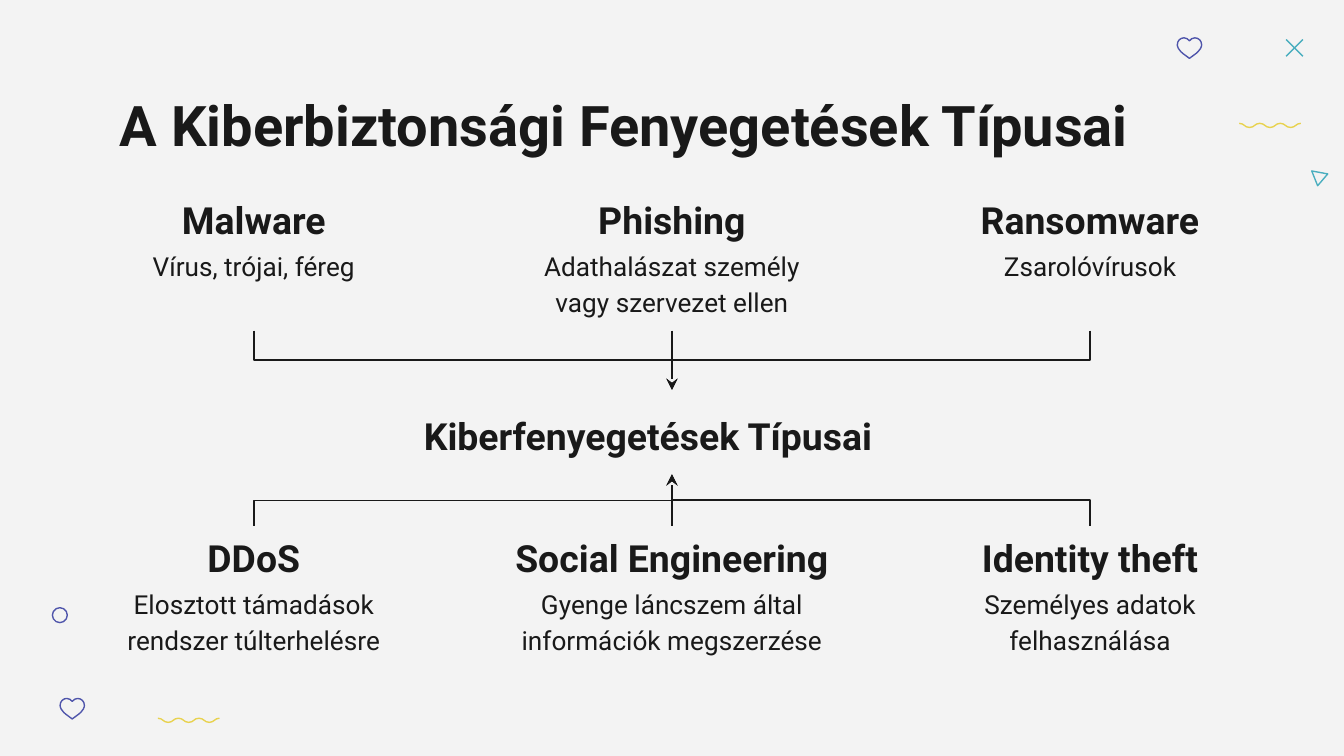
"""Build a slide that groups six kinds of cyber threat around one heading."""
from dataclasses import dataclass

from lxml.etree import Element, SubElement
from pptx import Presentation
from pptx.dml.color import RGBColor
from pptx.enum.shapes import MSO_CONNECTOR as Connector, MSO_SHAPE as Preset
from pptx.enum.text import MSO_ANCHOR as Anchor, MSO_AUTO_SIZE as AutoSize, PP_ALIGN as Align
from pptx.oxml.ns import qn
from pptx.util import Pt

COLORS = {"background": "F3F3F3", "ink": "191919", "violet": "4F55AB",
          "yellow": "E8D24F", "teal": "4AAEBF"}
MARGIN = Pt(7.2)
FRAME_FORMAT = {"word_wrap": True, "auto_size": AutoSize.NONE, "margin_left": MARGIN,
                "margin_top": MARGIN, "margin_right": MARGIN, "margin_bottom": MARGIN}
TITLE_FONT = {"name": "Roboto", "size": Pt(30), "bold": True}
HEADING_FONT = {"name": "Roboto", "size": Pt(20), "bold": True}
BODY_FONT = {"name": "Roboto", "size": Pt(14), "bold": False}
TOP_ROW, BOTTOM_ROW = 100.8, 281.8
COLUMN_CENTERS = (136, 360, 584)
HEADING_HEIGHT, BODY_OFFSET, BODY_HEIGHT = 36, 23.7, 52.6
HUB_TOP, HUB_WIDTH, HUB_HEIGHT = 208.8, 280, 45.4


@dataclass
class Threat:
    """One threat with its place in the grid."""
    name: str
    description: str
    column: int
    top: float
    name_width: float = 158.4
    description_width: float = 158.4


THREATS = (
    Threat("DDoS", "Elosztott támadások rendszer túlterhelésre", 0, BOTTOM_ROW),
    Threat("Social Engineering", "Gyenge láncszem által információk megszerzése",
           1, BOTTOM_ROW, 188.6, 198.7),
    Threat("Identity theft", "Személyes adatok felhasználása", 2, BOTTOM_ROW),
    Threat("Malware", "Vírus, trójai, féreg", 0, TOP_ROW),
    Threat("Phishing", "Adathalászat személy vagy szervezet ellen", 1, TOP_ROW),
    Threat("Ransomware", "Zsarolóvírusok", 2, TOP_ROW),
)


def color(name: str) -> RGBColor:
    """Return a named colour."""
    return RGBColor.from_string(COLORS[name])


def apply(target: object, values: dict) -> None:
    """Set each attribute of the target."""
    for name, value in values.items():
        setattr(target, name, value)


def write(shape, text: str, font: dict, align: Align, anchor: Anchor, spacing: float) -> None:
    """Fill a shape with one formatted paragraph."""
    frame = shape.text_frame
    apply(frame, FRAME_FORMAT | {"vertical_anchor": anchor})
    paragraph = frame.paragraphs[0]
    apply(paragraph, {"alignment": align, "line_spacing": spacing})
    run = paragraph.add_run()
    run.text = text
    apply(run.font, font)
    run.font.color.rgb = color("ink")


def add_text(slide, center: float, top: float, width: float, height: float, text: str,
             font: dict, align: Align = Align.CENTER, anchor: Anchor = Anchor.TOP):
    """Add a text box centred on a column."""
    box = slide.shapes.add_textbox(Pt(center - width / 2), Pt(top), Pt(width), Pt(height))
    write(box, text, font, align, anchor, 1.15)
    return box


def style_line(shape, name: str) -> None:
    """Give a shape or connector a thin coloured line."""
    shape.line.width = Pt(0.75)
    shape.line.color.rgb = color(name)


def outline(shape, name: str) -> None:
    """Leave a shape unfilled with a thin line and no shadow."""
    shape.shadow.inherit = False
    shape.fill.background()
    style_line(shape, name)


def add_line(slide, kind: Connector, points: tuple, name: str):
    """Add a connector without a shadow."""
    connector = slide.shapes.add_connector(kind, *(Pt(value) for value in points))
    style_line(connector, name)
    SubElement(connector.element.spPr, qn("a:effectLst"))
    return connector


def add_elbow(slide, source, source_site: int, hub, hub_site: int) -> None:
    """Join a threat to the hub with a vertical elbow arrow."""
    start_x, end_x = (box.left + box.width // 2 for box in (source, hub))
    start_y, end_y = (box.top + (box.height if site == 2 else 0)
                      for box, site in ((source, source_site), (hub, hub_site)))
    connector = add_line(slide, Connector.ELBOW, (0, 0, 0, 0), "ink")
    connector.begin_connect(source, source_site)
    connector.end_connect(hub, hub_site)
    width, height = abs(end_y - start_y), abs(end_x - start_x)
    apply(connector, {"left": (start_x + end_x - width) // 2,
                      "top": (start_y + end_y - height) // 2,
                      "width": width, "height": height})
    down = end_y > start_y
    flipped = end_x > start_x if down else end_x < start_x
    transform = connector.element.spPr.find(qn("a:xfrm"))
    for name, value in {"rot": "5400000" if down else "16200000", "flipH": "0",
                        "flipV": str(int(flipped))}.items():
        transform.set(name, value)
    SubElement(connector.element.spPr.find(qn("a:ln")), qn("a:tailEnd"), type="stealth")


def add_outline(slide, left: float, top: float, points: list, name: str,
                straight: int, close: bool) -> None:
    """Add a freeform of some straight segments followed by cubic curves."""
    vertices = [(Pt(left + x), Pt(top + y)) for x, y in points]
    builder = slide.shapes.build_freeform(*vertices[0], scale=1.0)
    builder.add_line_segments(vertices[1:], close=close)
    shape = builder.convert_to_shape()
    outline(shape, name)
    outline_path = shape.element.spPr.find(".//" + qn("a:path"))
    segments = outline_path.findall(qn("a:lnTo"))[straight:]
    for first in range(0, len(segments), 3):
        curve = Element(qn("a:cubicBezTo"))
        segments[first].addprevious(curve)
        for segment in segments[first:first + 3]:
            curve.append(segment[0])
            outline_path.remove(segment)


def add_heart(slide, left: float, top: float) -> None:
    """Add a symmetric heart outline."""
    half = [(6.5, 11), (4.5, 9.5), (0, 6.5), (0, 4.3), (0, 3.7), (0, 1.6), (1.6, 0),
            (3.6, 0), (4.8, 0), (5.8, 0.7), (6.5, 1.6)]
    mirrored = [(13 - x, y) for x, y in reversed(half[1:-1])]
    add_outline(slide, left, top, half + mirrored, "violet", 1, True)


def add_wave(slide, left: float, top: float) -> None:
    """Add a wave of three periods."""
    step, depth = 5.5, 2.2
    points = [(0, 0)]
    for index in range(6):
        start, end = (0, depth) if index % 2 == 0 else (depth, 0)
        middle = (index + 0.5) * step
        points += [(middle, start), (middle, end), ((index + 1) * step, end)]
    add_outline(slide, left, top, points, "yellow", 0, False)


def add_decorations(slide) -> None:
    """Scatter the small line ornaments."""
    circle = slide.shapes.add_shape(Preset.OVAL, Pt(28.1), Pt(325.6), Pt(8), Pt(8))
    outline(circle, "violet")
    for left, top in ((32.2, 374.2), (630.7, 20.3)):
        add_heart(slide, left, top)
    for left, top in ((84.6, 384.8), (663.9, 66.1)):
        add_wave(slide, left, top)
    for start, end in ((21.2, 30.2), (30.2, 21.2)):
        add_line(slide, Connector.STRAIGHT, (689, start, 698, end), "teal")
    add_outline(slide, 702.7, 91.6, [(0, 0), (3.2, 7.9), (8.6, 1.6)], "teal", 2, True)


def main() -> None:
    """Create and save the presentation."""
    presentation = Presentation()
    apply(presentation, {"slide_width": Pt(720), "slide_height": Pt(405)})
    slide = presentation.slides.add_slide(presentation.slide_layouts[5])
    slide.background.fill.solid()
    slide.background.fill.fore_color.rgb = color("background")
    add_decorations(slide)
    title = slide.shapes.title
    apply(title, {"left": Pt(56.9), "top": Pt(41.4), "width": Pt(607), "height": Pt(45.4)})
    write(title, "A Kiberbiztonsági Fenyegetések Típusai", TITLE_FONT, Align.LEFT, Anchor.TOP, 1.0)
    hub = add_text(slide, COLUMN_CENTERS[1], HUB_TOP, HUB_WIDTH, HUB_HEIGHT,
                   "Kiberfenyegetések Típusai", HEADING_FONT, Align.LEFT, Anchor.MIDDLE)
    for threat in THREATS:
        center = COLUMN_CENTERS[threat.column]
        heading = add_text(slide, center, threat.top, threat.name_width, HEADING_HEIGHT,
                           threat.name, HEADING_FONT, anchor=Anchor.BOTTOM)
        body = add_text(slide, center, threat.top + BODY_OFFSET, threat.description_width,
                        BODY_HEIGHT, threat.description, BODY_FONT)
        if threat.top < HUB_TOP:
            add_elbow(slide, body, 2, hub, 0)
        else:
            add_elbow(slide, heading, 0, hub, 2)
    presentation.save("out.pptx")


if __name__ == "__main__":
    main()
